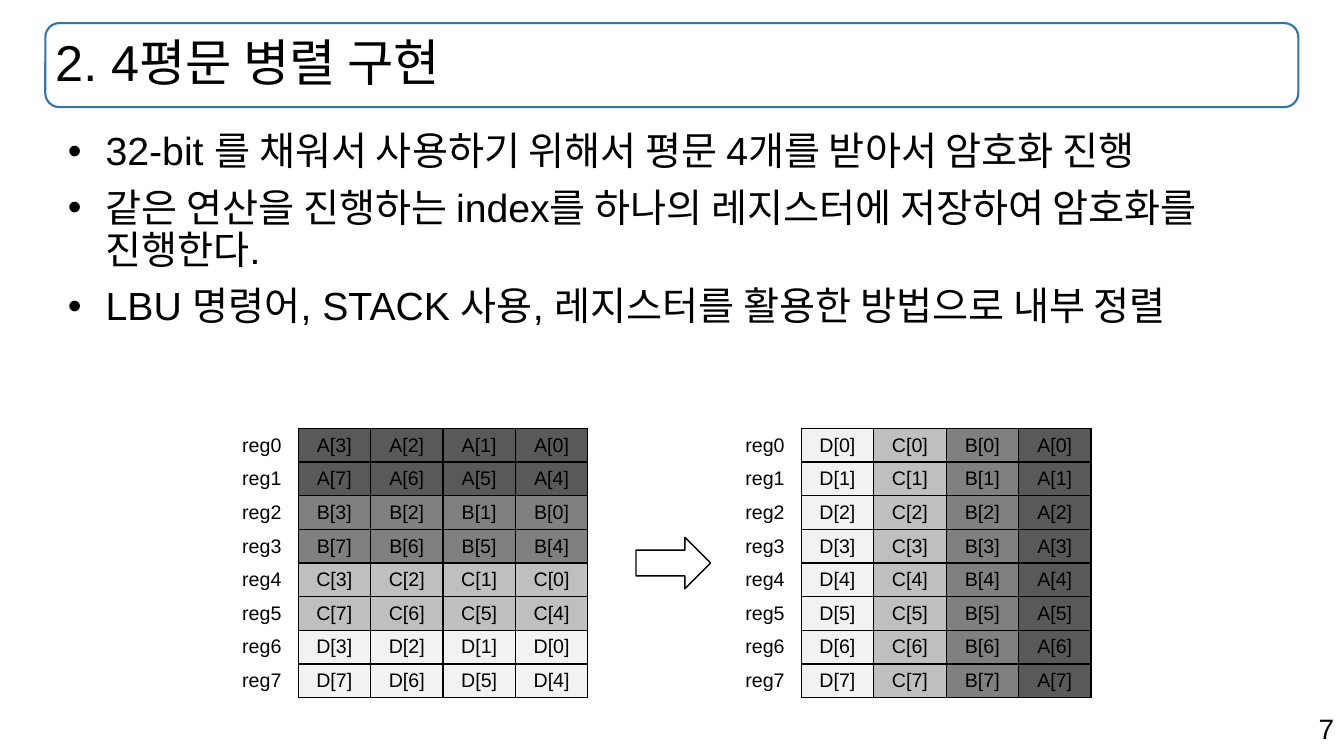
from lxml.etree import SubElement
from pptx import Presentation
from pptx.dml.color import RGBColor
from pptx.enum.shapes import MSO_SHAPE
from pptx.enum.text import MSO_ANCHOR, PP_ALIGN
from pptx.oxml import parse_xml
from pptx.oxml.ns import nsdecls, qn
from pptx.util import Pt

BLACK = RGBColor(0x00, 0x00, 0x00)
WHITE = RGBColor(0xFF, 0xFF, 0xFF)
BLUE = RGBColor(0x2E, 0x75, 0xB5)
BLOCK_SHADES = {
    "A": RGBColor(0x59, 0x59, 0x59),
    "B": RGBColor(0x80, 0x80, 0x80),
    "C": RGBColor(0xBF, 0xBF, 0xBF),
    "D": RGBColor(0xF2, 0xF2, 0xF2),
}
REGISTER_COUNT = 8
BYTES_PER_REGISTER = 4
COLUMN_WIDTH = 51.75
ROW_HEIGHT = 24

BULLETS = [
    "32-bit 를 채워서 사용하기 위해서 평문 4개를 받아서 암호화 진행",
    "같은 연산을 진행하는 index를 하나의 레지스터에 저장하여 암호화를 진행한다.",
    "LBU 명령어, STACK 사용, 레지스터를 활용한 방법으로 내부 정렬",
]


def set_font(paragraph, size):
    paragraph.font.name = "Arial"
    paragraph.font.size = Pt(size)
    paragraph.font.color.rgb = BLACK


def set_borders(cell, ruled_sides):
    """Draw black lines on the given sides (letters of LRTB) and none on the others."""
    properties = cell._tc.get_or_add_tcPr()
    for index, side in enumerate("LRTB"):
        paint = '<a:solidFill><a:srgbClr val="000000"/></a:solidFill>' if side in ruled_sides else "<a:noFill/>"
        properties.insert(index, parse_xml(f'<a:ln{side} {nsdecls("a")} w="{Pt(1)}">{paint}</a:ln{side}>'))


presentation = Presentation()
presentation.slide_width = Pt(960)
presentation.slide_height = Pt(540)
slide = presentation.slides.add_slide(presentation.slide_layouts[6])

# Page number
number_box = slide.shapes.add_textbox(Pt(679), Pt(504.7), Pt(281), Pt(31.7))
number_box.text_frame.word_wrap = True
paragraph = number_box.text_frame.paragraphs[0]
paragraph.text = "7"
paragraph.alignment = PP_ALIGN.RIGHT
set_font(paragraph, 20)

# Title
title_frame = slide.shapes.add_shape(MSO_SHAPE.ROUNDED_RECTANGLE, Pt(32.4), Pt(16.5), Pt(895), Pt(60))
title_frame.shadow.inherit = False
title_frame.fill.background()
title_frame.line.color.rgb = BLUE
title_frame.line.width = Pt(1.5)

title_box = slide.shapes.add_textbox(Pt(32.4), Pt(16.5), Pt(895), Pt(60))
title_box.text_frame.word_wrap = True
title_box.text_frame.vertical_anchor = MSO_ANCHOR.MIDDLE
paragraph = title_box.text_frame.paragraphs[0]
paragraph.text = "2. 4평문 병렬 구현"
paragraph.line_spacing = 0.9
set_font(paragraph, 36)

# Bullet list
body_box = slide.shapes.add_textbox(Pt(32.4), Pt(90.7), Pt(895), Pt(199.4))
body_box.text_frame.word_wrap = True
for index, text in enumerate(BULLETS):
    paragraph = body_box.text_frame.paragraphs[0] if index == 0 else body_box.text_frame.add_paragraph()
    paragraph.text = text
    paragraph.line_spacing = 0.9
    paragraph.space_before = Pt(10 if index else 0)
    properties = paragraph._p.get_or_add_pPr()
    properties.set("marL", str(Pt(36)))
    properties.set("indent", str(Pt(-27)))
    SubElement(properties, qn("a:buFont"), typeface="Arial")
    SubElement(properties, qn("a:buChar"), char="•")
    set_font(paragraph, 28)

# Register contents: each block fills two rows before, one column after
blocks = list(BLOCK_SHADES)
before = [
    [(blocks[row // 2], row % 2 * BYTES_PER_REGISTER + byte) for byte in reversed(range(BYTES_PER_REGISTER))]
    for row in range(REGISTER_COUNT)
]
after = [[(block, row) for block in reversed(blocks)] for row in range(REGISTER_COUNT)]

for left, registers in ((161.2, before), (520.6, after)):
    table = slide.shapes.add_table(
        REGISTER_COUNT, BYTES_PER_REGISTER + 1, Pt(left), Pt(306),
        Pt(COLUMN_WIDTH * (BYTES_PER_REGISTER + 1)), Pt(ROW_HEIGHT * REGISTER_COUNT),
    ).table
    table.first_row = False
    table.horz_banding = False
    for column in table.columns:
        column.width = Pt(COLUMN_WIDTH)
    for row, register in enumerate(registers):
        table.rows[row].height = Pt(ROW_HEIGHT)
        entries = [(f"reg{row}", WHITE, "R")]
        entries += [(f"{block}[{byte}]", BLOCK_SHADES[block], "LRTB") for block, byte in register]
        for column, (text, shade, ruled_sides) in enumerate(entries):
            cell = table.cell(row, column)
            cell.text = text
            cell.vertical_anchor = MSO_ANCHOR.MIDDLE
            cell.fill.solid()
            cell.fill.fore_color.rgb = shade
            set_borders(cell, ruled_sides)
            paragraph = cell.text_frame.paragraphs[0]
            paragraph.alignment = PP_ALIGN.CENTER
            set_font(paragraph, 14)

# Arrow from the first table to the second
arrow = slide.shapes.add_shape(MSO_SHAPE.RIGHT_ARROW, Pt(454.3), Pt(383.8), Pt(53.3), Pt(36.7))
arrow.shadow.inherit = False
arrow.fill.solid()
arrow.fill.fore_color.rgb = WHITE
arrow.line.color.rgb = BLACK
arrow.line.width = Pt(1)

presentation.save("out.pptx")
